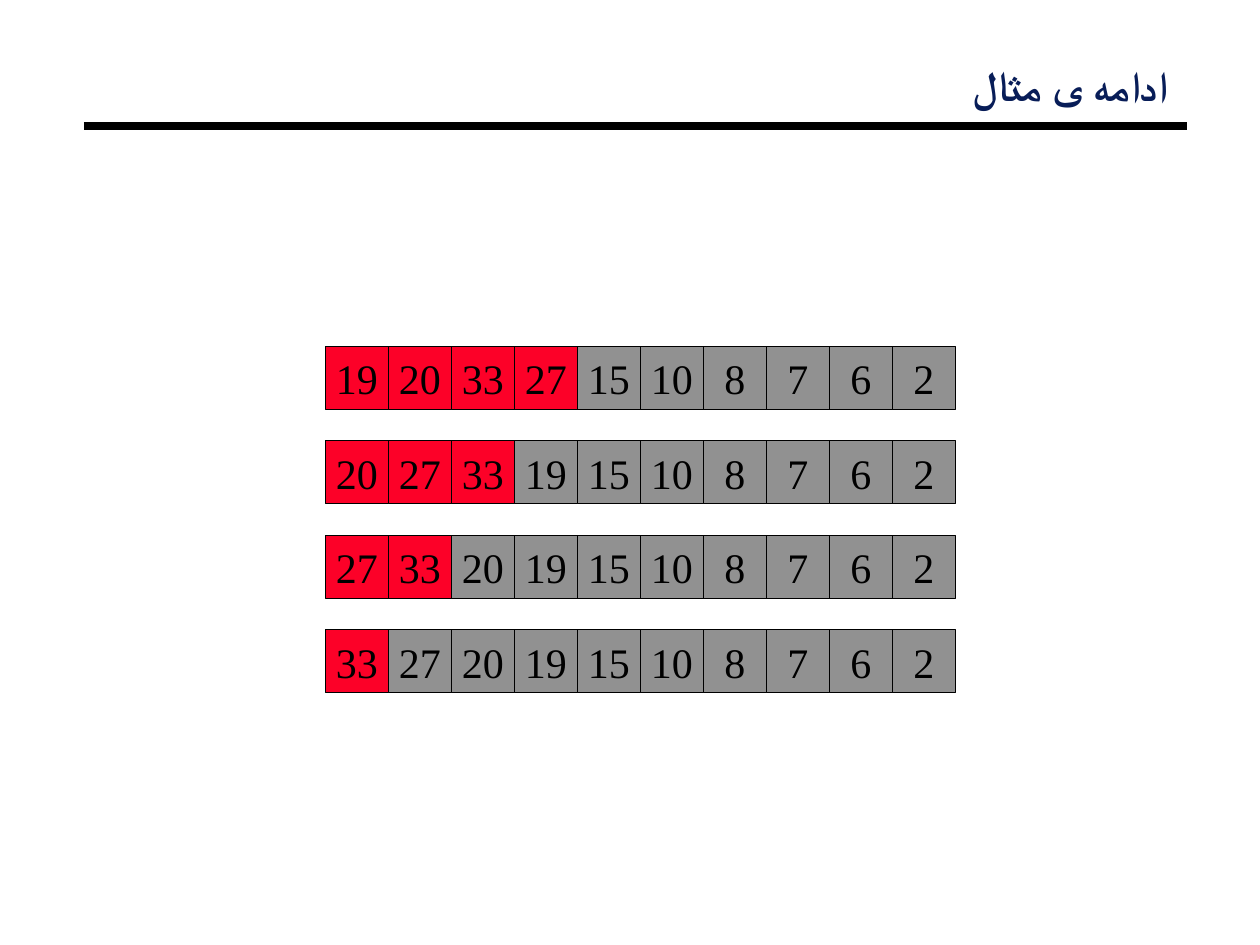
import pptx
import pptx.dml.color
import pptx.enum.shapes
import pptx.enum.text
import pptx.oxml.ns
import pptx.util
from lxml import etree

Cm = pptx.util.Cm
Pt = pptx.util.Pt
PP_ALIGN = pptx.enum.text.PP_ALIGN
qn = pptx.oxml.ns.qn

COLORS = {"title": "081D58", "ink": "000000", "heap": "FC0128", "sorted": "919191"}
CELL = 1.27
ROW_PITCH = 1.5 * CELL
GRID_LEFT, GRID_TOP = 6.56, 6.98
STEPS = [
    (4, [19, 20, 33, 27, 15, 10, 8, 7, 6, 2]),
    (3, [20, 27, 33, 19, 15, 10, 8, 7, 6, 2]),
    (2, [27, 33, 20, 19, 15, 10, 8, 7, 6, 2]),
    (1, [33, 27, 20, 19, 15, 10, 8, 7, 6, 2]),
]


def rgb(name):
    return pptx.dml.color.RGBColor.from_string(COLORS[name])


def format_run(r, font, color, bold=False):
    r.font.name = font
    r.font.size = Pt(24)
    r.font.bold = bold
    r.font.color.rgb = rgb(color)


def add_title(s, text):
    sp = s.shapes.add_textbox(Cm(2.24), Cm(1.27), Cm(21.49), Cm(1.47))
    tf = sp.text_frame
    tf.word_wrap = True
    tf.margin_left = tf.margin_right = Cm(0.18)
    tf.margin_top = tf.margin_bottom = Cm(0.08)
    p = tf.paragraphs[0]
    p.text = text
    p.alignment = PP_ALIGN.RIGHT
    p.line_spacing = 0.87
    p._p.get_or_add_pPr().set("rtl", "1")
    r = p.runs[0]
    format_run(r, "Roboto", "title", bold=True)
    etree.SubElement(r._r.get_or_add_rPr(), qn("a:cs"), typeface="Roboto")


def add_rule(s):
    line = s.shapes.add_connector(
        pptx.enum.shapes.MSO_CONNECTOR.STRAIGHT, Cm(1.69), Cm(2.54), Cm(23.92), Cm(2.54)
    )
    line.line.color.rgb = rgb("ink")
    line.line.width = Pt(4.5)
    etree.SubElement(line._element.spPr, qn("a:effectLst"))


def add_cell(s, left, top, value, fill):
    sp = s.shapes.add_shape(
        pptx.enum.shapes.MSO_SHAPE.RECTANGLE, Cm(left), Cm(top), Cm(CELL), Cm(CELL)
    )
    sp.shadow.inherit = False
    sp.fill.solid()
    sp.fill.fore_color.rgb = rgb(fill)
    sp.line.color.rgb = rgb("ink")
    sp.line.width = Pt(0.75)
    tf = sp.text_frame
    tf.word_wrap = False
    tf.vertical_anchor = pptx.enum.text.MSO_ANCHOR.MIDDLE
    tf.text = str(value)
    p = tf.paragraphs[0]
    p.alignment = PP_ALIGN.CENTER
    format_run(p.runs[0], "Times New Roman", "ink")


def add_array(s, top, heap_size, values):
    for i, value in enumerate(values):
        fill = "heap" if i < heap_size else "sorted"
        add_cell(s, GRID_LEFT + i * CELL, top, value, fill)


def main():
    prs = pptx.Presentation()
    prs.slide_width, prs.slide_height = Cm(25.4), Cm(19.05)
    s = prs.slides.add_slide(prs.slide_layouts[6])
    add_rule(s)
    add_title(s, "ادامه ی مثال")
    for row, (heap_size, values) in enumerate(STEPS):
        add_array(s, GRID_TOP + row * ROW_PITCH, heap_size, values)
    prs.save("out.pptx")


if __name__ == "__main__":
    main()
